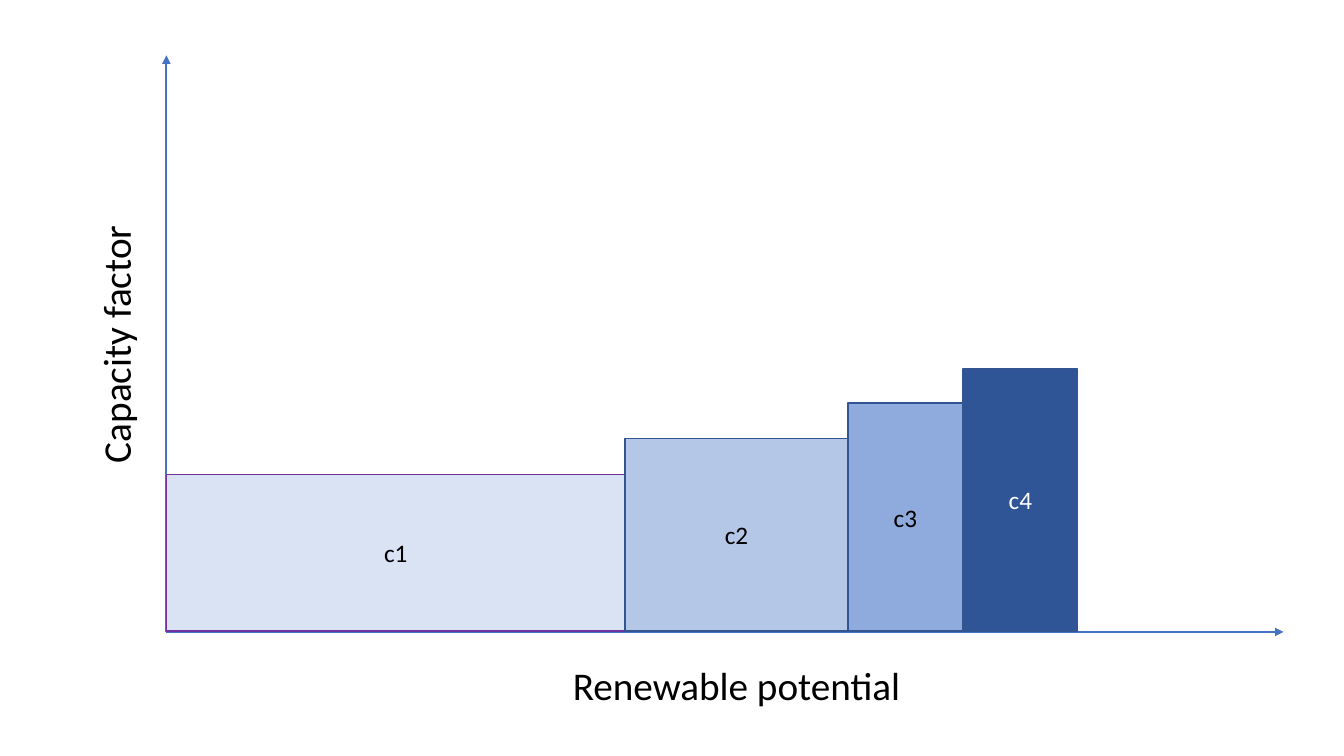
"""Build a slide showing capacity factor classes against renewable potential."""
from pptx import Presentation
from pptx import util as u
from pptx.dml.color import RGBColor
from pptx.enum import shapes, text
from pptx.oxml.ns import qn
from lxml import etree

ORIGIN_X, BASELINE = 1.65, 6.26
AXIS_Y = 6.27
CLASSES = [
    ("c1", 4.55, 1.55, "DAE3F3", "7030A0", "000000"),
    ("c2", 2.21, 1.91, "B4C7E7", "325491", "000000"),
    ("c3", 1.14, 2.26, "8FAADC", "325491", "000000"),
    ("c4", 1.14, 2.6, "2F5597", "325491", "FFFFFF"),
]


def paint(color_format, color):
    """Set a fill, line or font colour from a hex string."""
    color_format.rgb = RGBColor.from_string(color)


def write(frame, wording, size, color):
    """Put one centred Calibri paragraph into a text frame."""
    frame.text = wording
    frame.word_wrap = True
    paragraph = frame.paragraphs[0]
    paragraph.alignment = text.PP_ALIGN.CENTER
    font = paragraph.runs[0].font
    font.name = "Calibri"
    font.size = u.Pt(size)
    paint(font.color, color)


def add_axis(slide, start, end):
    """Draw an axis with an arrowhead at its end."""
    axis = slide.shapes.add_connector(
        shapes.MSO_CONNECTOR.STRAIGHT, *map(u.Inches, start + end))
    axis.line.width = u.Pt(1.5)
    paint(axis.line.color, "4472C4")
    properties = axis._element.spPr
    etree.SubElement(properties.find(qn("a:ln")), qn("a:tailEnd"), type="triangle")
    etree.SubElement(properties, qn("a:effectLst"))


def add_class_bar(slide, left, label, width, height, fill, outline, ink):
    """Draw one labelled capacity class standing on the baseline."""
    bar = slide.shapes.add_shape(
        shapes.MSO_SHAPE.RECTANGLE,
        *map(u.Inches, (left, BASELINE - height, width, height)))
    bar.shadow.inherit = False
    bar.fill.solid()
    paint(bar.fill.fore_color, fill)
    bar.line.width = u.Pt(1)
    paint(bar.line.color, outline)
    bar.text_frame.vertical_anchor = text.MSO_ANCHOR.MIDDLE
    write(bar.text_frame, label, 18, ink)


def add_axis_title(slide, wording, left, top, rotation=0):
    """Add the title of an axis, turned if needed."""
    title = slide.shapes.add_textbox(*map(u.Inches, (left, top, 4.73, 0.57)))
    title.rotation = rotation
    write(title.text_frame, wording, 28, "000000")
    title.text_frame.auto_size = text.MSO_AUTO_SIZE.SHAPE_TO_FIT_TEXT


def main():
    """Build and save the slide."""
    deck = Presentation()
    deck.slide_width, deck.slide_height = u.Inches(13.33), u.Inches(7.5)
    slide = deck.slides.add_slide(deck.slide_layouts[6])

    add_axis(slide, (ORIGIN_X, AXIS_Y), (ORIGIN_X, 0.55))
    add_axis(slide, (ORIGIN_X, AXIS_Y), (12.73, AXIS_Y))

    left = ORIGIN_X
    for label, width, *style in CLASSES:
        add_class_bar(slide, left, label, width, *style)
        left += width

    add_axis_title(slide, "Renewable potential", 4.94, 6.51)
    add_axis_title(slide, "Capacity factor", -1.22, 3.13, rotation=270)
    deck.save("out.pptx")


if __name__ == "__main__":
    main()
